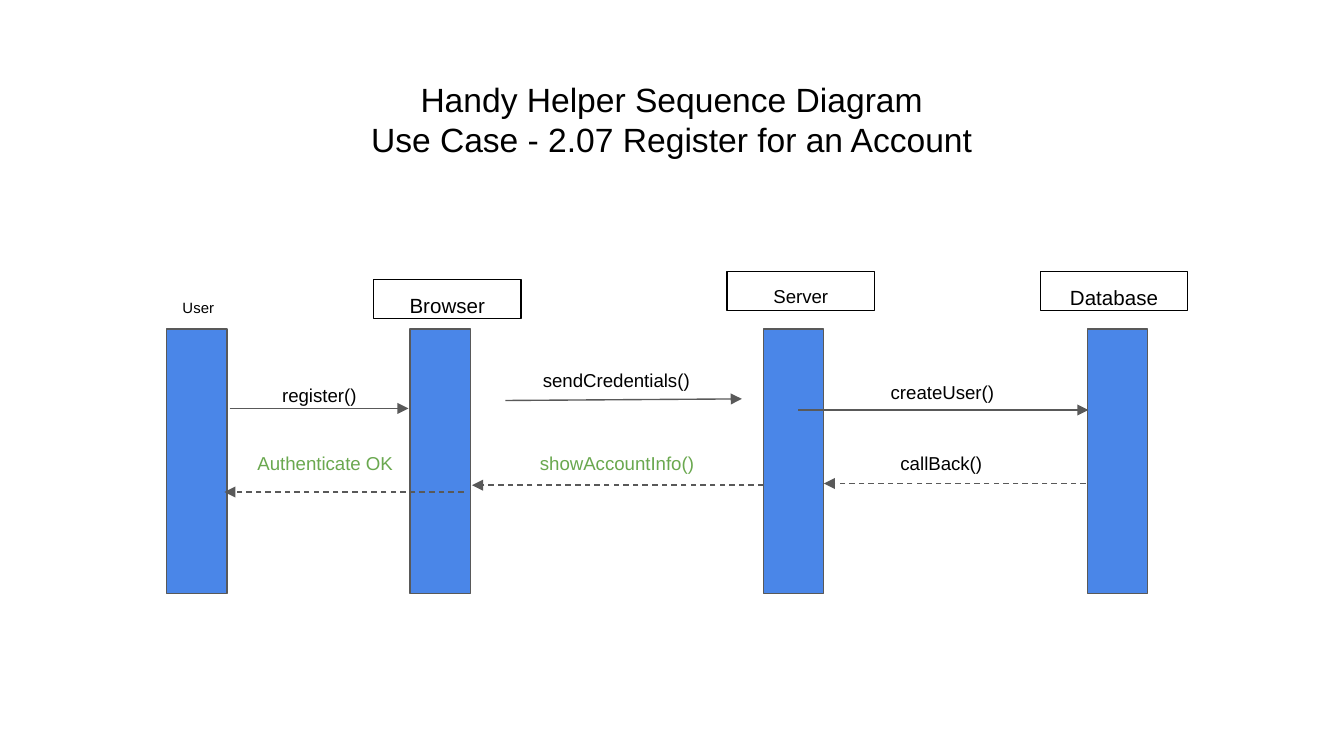
from lxml import etree
from pptx import Presentation
from pptx.dml.color import RGBColor
from pptx.enum.dml import MSO_LINE
from pptx.enum.shapes import MSO_CONNECTOR, MSO_SHAPE
from pptx.enum.text import MSO_ANCHOR, PP_ALIGN
from pptx.oxml.ns import qn
from pptx.util import Cm, Pt

BLACK, GRAY, BLUE, GREEN = "000000", "595959", "4A86E8", "6AA84F"
BAR_TOP, BAR_WIDTH, BAR_HEIGHT = 1.09, 1.14, 5
HEADER_WIDTH, HEADER_HEIGHT = 2.79, 0.74
LABEL_HEIGHT = 0.55

# Name, bar left, header left, header top, text size
LIFELINES = [
    ("Browser", 4.6, 3.91, 0.15, 11),
    ("Server", 11.28, 10.59, 0, 10),
    ("Database", 17.4, 16.51, 0, 11),
]

# Label, colour, alignment, label (left, top, width), arrow start, arrow end, dashed
MESSAGES = [
    ("register()", BLACK, PP_ALIGN.CENTER, (1.27, 2.06, 3.23), (1.19, 2.59), (4.57, 2.59), False),
    ("sendCredentials()", BLACK, PP_ALIGN.LEFT, (6.86, 1.78, 4.62), (6.4, 2.44), (10.87, 2.41), False),
    ("createUser()", BLACK, PP_ALIGN.CENTER, (12.27, 2.01, 4.78), (11.94, 2.62), (17.42, 2.62), False),
    ("callBack()", BLACK, PP_ALIGN.CENTER, (12.67, 3.35, 3.94), (17.37, 4.01), (12.42, 4.01), True),
    ("showAccountInfo()", GREEN, PP_ALIGN.CENTER, (6.12, 3.35, 4.78), (11.28, 4.04), (5.77, 4.04), True),
    ("Authenticate OK", GREEN, PP_ALIGN.CENTER, (0.76, 3.35, 4.47), (5.61, 4.17), (1.09, 4.17), True),
]


def color(value):
    return RGBColor.from_string(value)


def write_text(shape, lines, size, text_color=BLACK, alignment=PP_ALIGN.CENTER, anchor=MSO_ANCHOR.MIDDLE):
    frame = shape.text_frame
    frame.word_wrap = True
    frame.vertical_anchor = anchor
    frame.margin_left = frame.margin_right = Cm(0.25)
    frame.margin_top = frame.margin_bottom = Cm(0.25)
    frame.text = "\n".join(lines)
    for paragraph in frame.paragraphs:
        paragraph.alignment = alignment
        paragraph.font.name = "Arial"
        paragraph.font.size = Pt(size)
        paragraph.font.color.rgb = color(text_color)


def add_label(slide, left, top, width, height, lines, size, **style):
    box = slide.shapes.add_textbox(Cm(left), Cm(top), Cm(width), Cm(height))
    write_text(box, lines, size, **style)


def add_rectangle(slide, left, top, width, height, line_color, fill_color=None):
    shape = slide.shapes.add_shape(MSO_SHAPE.RECTANGLE, Cm(left), Cm(top), Cm(width), Cm(height))
    shape.shadow.inherit = False
    shape.line.color.rgb = color(line_color)
    shape.line.width = Pt(0.75)
    if fill_color:
        shape.fill.solid()
        shape.fill.fore_color.rgb = color(fill_color)
    else:
        shape.fill.background()
    return shape


def add_arrow(slide, start, end, dashed):
    points = [Cm(value) for value in (*start, *end)]
    arrow = slide.shapes.add_connector(MSO_CONNECTOR.STRAIGHT, *points)
    arrow.line.color.rgb = color(GRAY)
    arrow.line.width = Pt(0.75)
    if dashed:
        arrow.line.dash_style = MSO_LINE.DASH
    # Arrowhead, and no theme shadow
    line = arrow.line._get_or_add_ln()
    etree.SubElement(line, qn("a:tailEnd"), type="triangle", w="med", len="med")
    etree.SubElement(arrow._element.spPr, qn("a:effectLst"))


def add_diagram(slide, left, top):
    # Lifeline bars
    for bar_left in [0] + [lifeline[1] for lifeline in LIFELINES]:
        add_rectangle(slide, left + bar_left, top + BAR_TOP, BAR_WIDTH, BAR_HEIGHT, GRAY, BLUE)

    # Participant names
    add_label(slide, left + 0.05, top + 0.41, 1.2, LABEL_HEIGHT, ["User"], 8, alignment=PP_ALIGN.LEFT)
    for name, _, header_left, header_top, size in LIFELINES:
        header = add_rectangle(
            slide, left + header_left, top + header_top, HEADER_WIDTH, HEADER_HEIGHT, BLACK)
        write_text(header, [name], size, anchor=MSO_ANCHOR.TOP)

    # Messages
    for text, text_color, alignment, (x, y, width), start, end, dashed in MESSAGES:
        add_arrow(slide, (left + start[0], top + start[1]), (left + end[0], top + end[1]), dashed)
        add_label(slide, left + x, top + y, width, LABEL_HEIGHT, [text], 10,
                  text_color=text_color, alignment=alignment)


def main():
    presentation = Presentation()
    presentation.slide_width, presentation.slide_height = Cm(25.4), Cm(14.29)
    slide = presentation.slides.add_slide(presentation.slide_layouts[6])

    # Title
    title = ["Handy Helper Sequence Diagram", "Use Case - 2.07 Register for an Account"]
    add_label(slide, 0.86, 1.24, 23.67, 1.6, title, 18, anchor=MSO_ANCHOR.TOP)

    add_diagram(slide, 3.15, 5.13)
    presentation.save("out.pptx")


if __name__ == "__main__":
    main()
